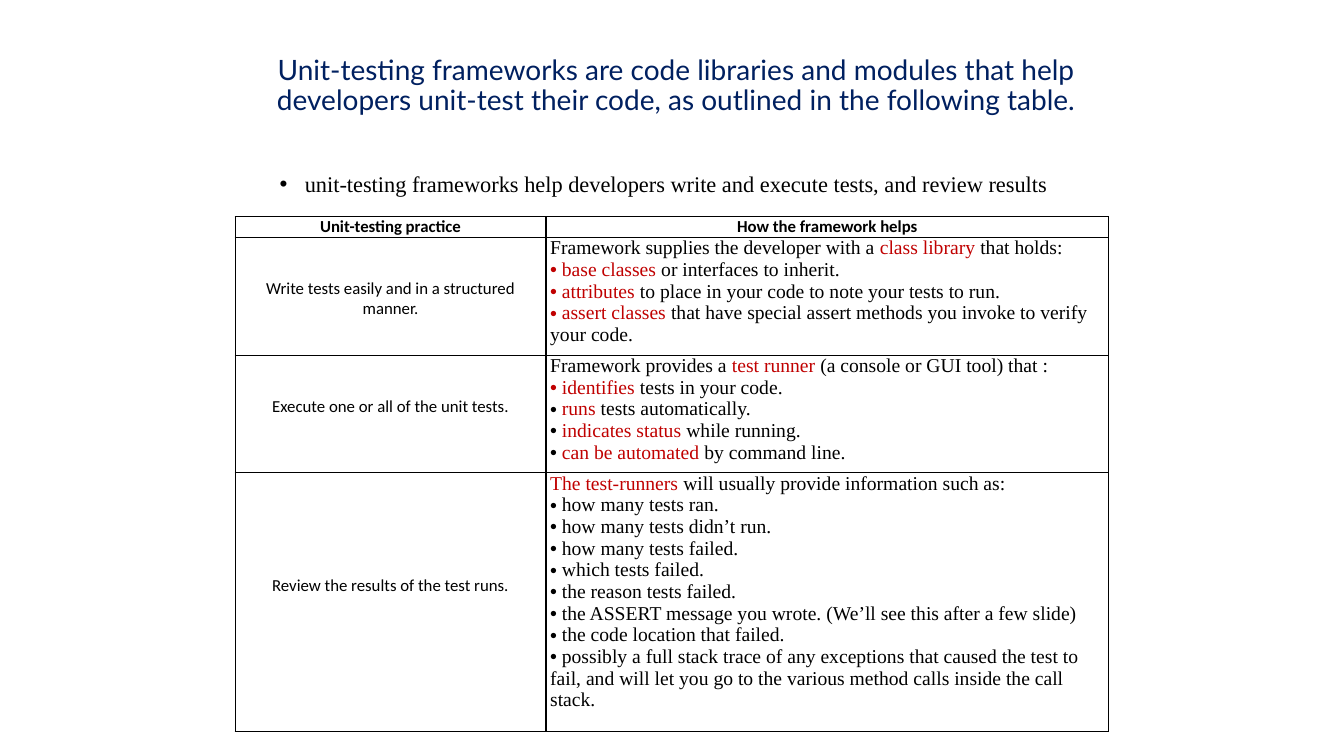
"""Build a slide on how unit-testing frameworks help developers."""
import pptx
import pptx.dml.color
import pptx.enum.text
import pptx.oxml
import pptx.oxml.ns
import pptx.util

Pt = pptx.util.Pt
ALIGN = pptx.enum.text.PP_ALIGN
ANCHOR = pptx.enum.text.MSO_ANCHOR
COLORS = {"title": "002060", "text": "000000", "accent": "C00000"}
SERIF = "Times New Roman"
TITLE = ("Unit-testing frameworks are code libraries and modules that help developers "
         "unit-test their code, as outlined in the following table.")
SUMMARY = "unit-testing frameworks help developers write and execute tests, and review results"
HEADERS = ["Unit-testing practice", "How the framework helps"]
PRACTICES = [
    ("Write tests easily and in a structured manner.", 29.3, 77.5, [
        "Framework supplies the developer with a *class library *that holds:",
        "* base classes* or interfaces to inherit.",
        "* attributes *to place in your code to note your tests to run.",
        "* assert classes* that have special assert methods you invoke to verify your code.",
    ]),
    ("Execute one or all of the unit tests.", 29.3, 77.5, [
        "Framework provides a *test runner* (a console or GUI tool) that :",
        "* identifies *tests in your code.",
        " *runs *tests automatically.",
        " *indicates status* while running.",
        " *can be automated *by command line.",
    ]),
    ("Review the results of the test runs.", 73.2, 170.5, [
        "*The test-runners *will usually provide information such as:",
        " how many tests ran.",
        " how many tests didn’t run.",
        " how many tests failed.",
        " which tests failed.",
        " the reason tests failed.",
        " the ASSERT message you wrote. (We’ll see this after a few slide)",
        " the code location that failed.",
        " possibly a full stack trace of any exceptions that caused the test to fail, "
        "and will let you go to the various method calls inside the call stack.",
    ]),
]


def parse_xml(tag, attributes="", content=""):
    """Return a drawing element made from its tag, attributes and content."""
    namespace = pptx.oxml.ns.nsdecls("a")
    return pptx.oxml.parse_xml(f"<a:{tag} {namespace} {attributes}>{content}</a:{tag}>")


def add_bullet(paragraph, indent):
    """Give a paragraph a round bullet and a hanging indent."""
    properties = paragraph._p.get_or_add_pPr()
    properties.set("marL", str(Pt(indent)))
    properties.set("indent", str(-Pt(indent)))
    properties.append(parse_xml("buFont", 'typeface="Arial"'))
    properties.append(parse_xml("buChar", 'char="•"'))


def write_text(paragraph, text, font=SERIF, size=14, color="text", bold=False,
               align=ALIGN.LEFT, spacing=None, bullet_indent=None):
    """Write text in a paragraph, with the parts between asterisks in the accent colour."""
    if bullet_indent is not None:
        add_bullet(paragraph, bullet_indent)
    paragraph.alignment = align
    if spacing:
        paragraph.line_spacing = spacing
    for index, part in enumerate(text.split("*")):
        if part:
            run = paragraph.add_run()
            run.text = part
            run.font.name = font
            run.font.size = Pt(size)
            run.font.bold = bold
            name = "accent" if index % 2 else color
            run.font.color.rgb = pptx.dml.color.RGBColor.from_string(COLORS[name])


def add_title(slide):
    """Place and write the title."""
    title = slide.shapes.title
    title.left, title.top, title.width, title.height = Pt(150), Pt(12), Pt(666), Pt(99)
    title.text_frame.vertical_anchor = ANCHOR.MIDDLE
    write_text(title.text_frame.paragraphs[0], TITLE, font="Lato", size=20,
               color="title", align=ALIGN.CENTER, spacing=0.9)


def add_summary(slide):
    """Add the bulleted line above the table."""
    box = slide.shapes.add_textbox(Pt(150), Pt(120), Pt(648), Pt(364))
    box.text_frame.word_wrap = True
    write_text(box.text_frame.paragraphs[0], SUMMARY, size=16, align=ALIGN.CENTER,
               spacing=0.9, bullet_indent=18)


def format_cell(cell, top=0):
    """Give a cell thin black borders, no fill and narrow margins."""
    properties = cell._tc.get_or_add_tcPr()
    fill = f'<a:solidFill><a:srgbClr val="{COLORS["text"]}"/></a:solidFill>'
    for side in "LRTB":
        properties.append(parse_xml(f"ln{side}", f'w="{Pt(1)}"', fill))
    cell.fill.background()
    cell.margin_left = cell.margin_right = Pt(3)
    cell.margin_top, cell.margin_bottom = Pt(top), Pt(0)
    cell.vertical_anchor = ANCHOR.TOP


def write_label(cell, text, top=0, bold=False):
    """Write a centred label in a cell, at a distance from its top."""
    format_cell(cell, top)
    write_text(cell.text_frame.paragraphs[0], text, font="Calibri", size=12,
               bold=bold, align=ALIGN.CENTER)


def write_details(cell, lines):
    """Write a lead line and its bulleted lines in a cell."""
    format_cell(cell)
    frame = cell.text_frame
    write_text(frame.paragraphs[0], lines[0])
    for line in lines[1:]:
        write_text(frame.add_paragraph(), line, bullet_indent=0)


def add_practice_table(slide):
    """Add the table of practices and the help that frameworks give."""
    heights = [14.8] + [practice[2] for practice in PRACTICES]
    table = slide.shapes.add_table(len(heights), len(HEADERS), Pt(168), Pt(154.8),
                                   Pt(624), Pt(sum(heights))).table
    table.first_row = table.horz_banding = False
    for column, width in zip(table.columns, (222, 402)):
        column.width = Pt(width)
    for row, height in zip(table.rows, heights):
        row.height = Pt(height)
    for column, header in enumerate(HEADERS):
        write_label(table.cell(0, column), header, bold=True)
    for row, (practice, top, _, lines) in enumerate(PRACTICES, start=1):
        write_label(table.cell(row, 0), practice, top=top)
        write_details(table.cell(row, 1), lines)


def main():
    """Build and save the presentation."""
    presentation = pptx.Presentation()
    presentation.slide_width, presentation.slide_height = Pt(960), Pt(540)
    slide = presentation.slides.add_slide(presentation.slide_layouts[5])
    add_title(slide)
    add_summary(slide)
    add_practice_table(slide)
    presentation.save("out.pptx")


if __name__ == "__main__":
    main()
